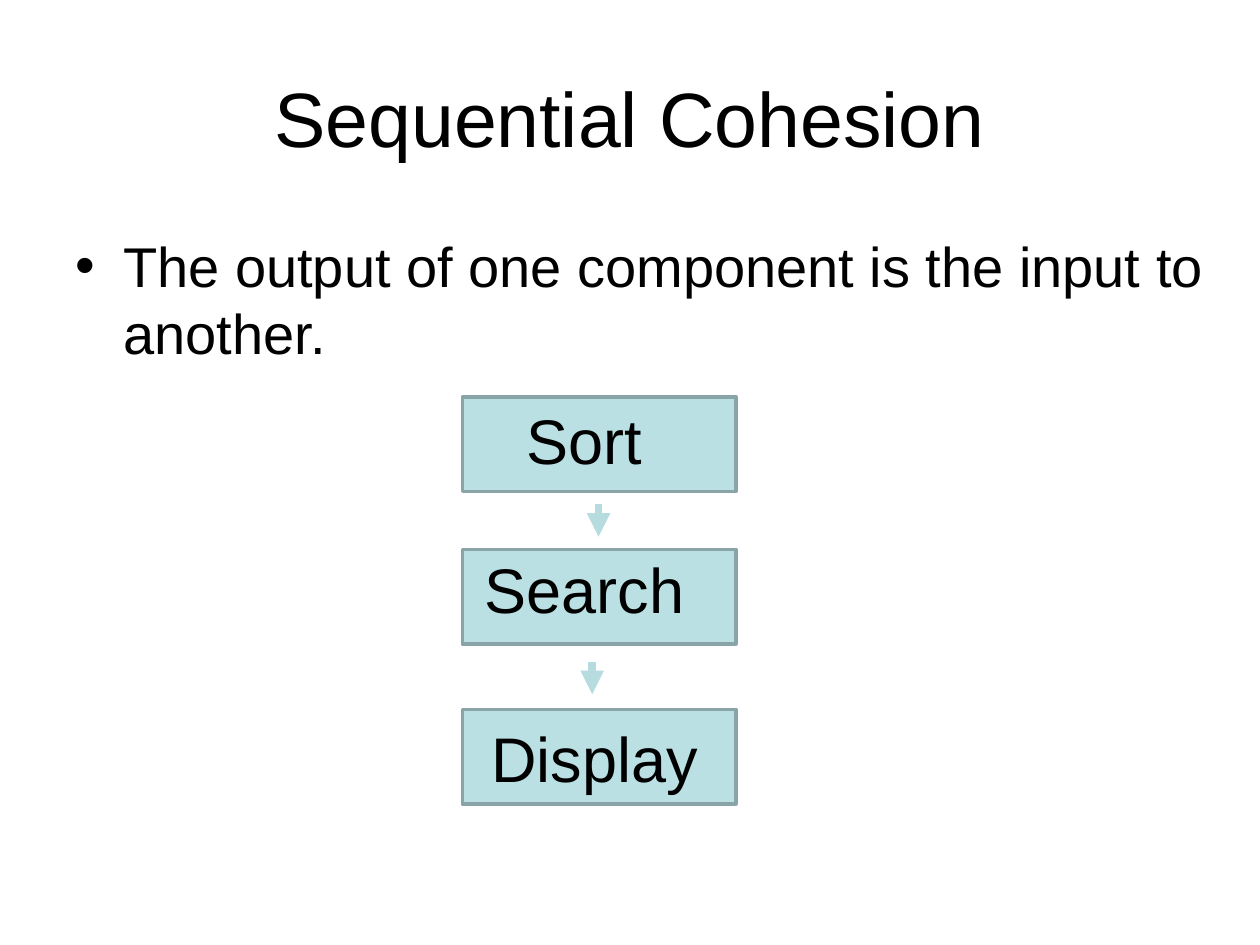
from lxml import etree
from pptx import Presentation
from pptx.dml.color import RGBColor
from pptx.enum import shapes, text
from pptx.oxml.ns import qn
from pptx.util import Inches, Pt

COLORS = {"text": "000000", "box": "BBE0E3", "border": "89A4A7", "arrow": "B6DCDF"}
FONT = "Arial"

TITLE = "Sequential Cohesion"
DEFINITION = "The output of one component is the input to another."
# step, box top, label (left, top, width)
STEPS = [
    ("Sort", 3.15, (4.08, 3.14, 1.58)),
    ("Search", 4.36, (3.75, 4.32, 1.91)),
    ("Display", 5.63, (3.8, 5.66, 1.91)),
]
ARROWS = [(4.75, 4.0), (4.7, 5.25)]  # x, top
BOX_LEFT, BOX_WIDTH, BOX_HEIGHT = 3.67, 2.17, 0.75
LABEL_HEIGHT, ARROW_LENGTH = 0.7, 0.26


def color(name):
    return RGBColor.from_string(COLORS[name])


def add_text(slide, words, left, top, width, height, size,
             align=text.PP_ALIGN.LEFT, anchor=text.MSO_ANCHOR.TOP,
             bullet=False, before=0):
    area = slide.shapes.add_textbox(*map(Inches, (left, top, width, height)))
    frame = area.text_frame
    frame.word_wrap = True
    frame.vertical_anchor = anchor
    paragraph = frame.paragraphs[0]
    paragraph.alignment = align
    paragraph.space_before = Pt(before)
    run = paragraph.add_run()
    run.text = words
    run.font.name = FONT
    run.font.size = Pt(size)
    run.font.color.rgb = color("text")
    if bullet:
        props = paragraph._p.get_or_add_pPr()
        props.set("marL", str(Inches(0.38)))
        props.set("indent", str(Inches(-0.38)))
        etree.SubElement(props, qn("a:buFont"), typeface=FONT)
        etree.SubElement(props, qn("a:buChar"), char="•")


def add_box(slide, top):
    box = slide.shapes.add_shape(
        shapes.MSO_SHAPE.RECTANGLE,
        *map(Inches, (BOX_LEFT, top, BOX_WIDTH, BOX_HEIGHT)))
    box.shadow.inherit = False
    box.fill.solid()
    box.fill.fore_color.rgb = color("box")
    box.line.color.rgb = color("border")
    box.line.width = Pt(2)


def add_arrow(slide, x, top):
    arrow = slide.shapes.add_connector(
        shapes.MSO_CONNECTOR.STRAIGHT,
        *map(Inches, (x, top, x, top + ARROW_LENGTH)))
    arrow.line.color.rgb = color("arrow")
    arrow.line.width = Pt(4.5)
    etree.SubElement(arrow.line._get_or_add_ln(), qn("a:tailEnd"), type="triangle")
    etree.SubElement(arrow._element.spPr, qn("a:effectLst"))


def main():
    deck = Presentation()
    deck.slide_width, deck.slide_height = Inches(10), Inches(7.5)
    slide = deck.slides.add_slide(deck.slide_layouts[6])

    add_text(slide, TITLE, 0.5, 0.3, 9, 1.25, 44,
             align=text.PP_ALIGN.CENTER, anchor=text.MSO_ANCHOR.MIDDLE)
    add_text(slide, DEFINITION, 0.5, 1.79, 9.17, 4.95, 32, bullet=True, before=8)
    for _, box_top, _ in STEPS:
        add_box(slide, box_top)
    for step, _, (left, top, width) in STEPS:
        add_text(slide, step, left, top, width, LABEL_HEIGHT, 36)
    for x, top in ARROWS:
        add_arrow(slide, x, top)

    deck.save("out.pptx")


if __name__ == "__main__":
    main()
